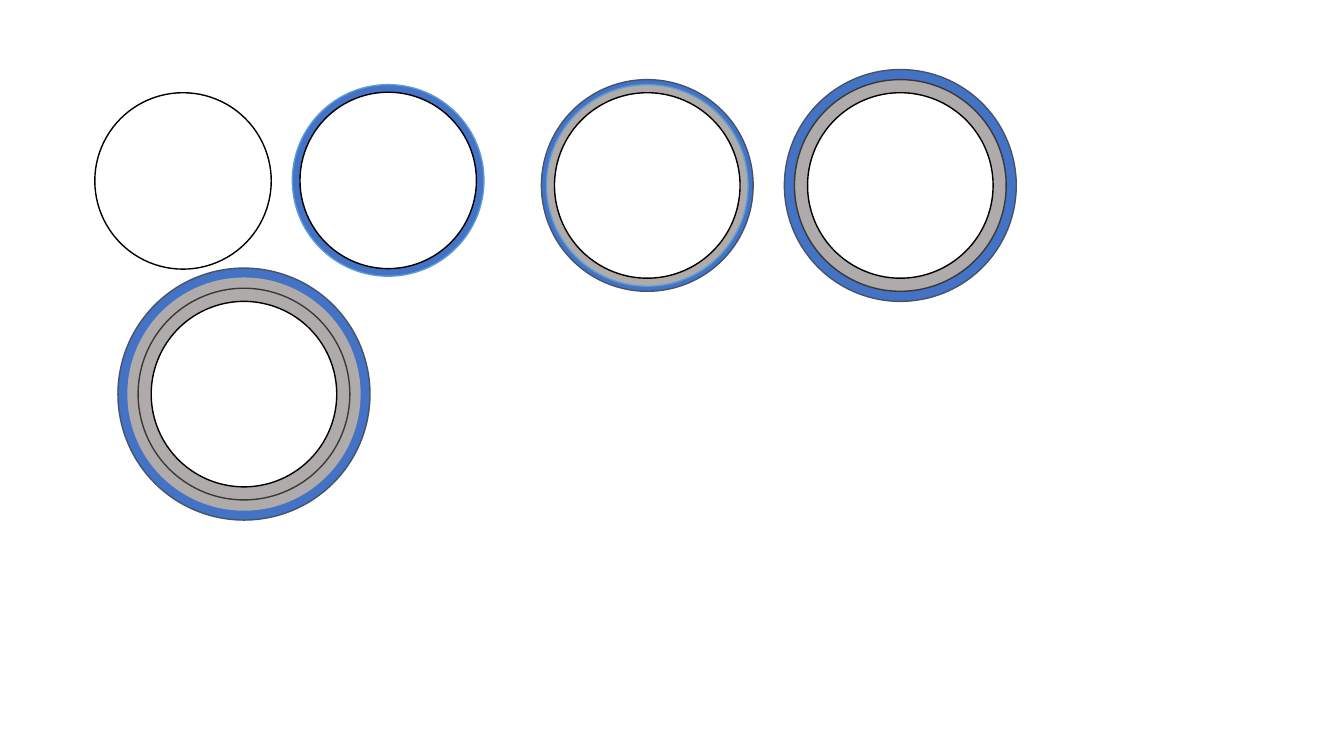
from pptx import Presentation
from pptx.dml.color import RGBColor
from pptx.enum.shapes import MSO_SHAPE
from pptx.util import Inches, Pt

BLUE, GRAY, WHITE = "4472C4", "AFABAB", "FFFFFF"
SKY, SLATE, DARK, BLACK = "5B9BD5", "44546A", "3B3838", "000000"

SMALL = (1.75, WHITE, BLACK)
CORE = (1.84, WHITE, BLACK)
INNER = (2, GRAY, GRAY)
MIDDLE = (2.1, GRAY, DARK)
OUTER = (2.3, GRAY, GRAY)

RINGS = [
    (1.815, 1.795, [SMALL]),
    (3.85, 1.79, [(1.9, BLUE, SKY), SMALL]),
    (6.42, 1.84, [(2.1, BLUE, SLATE), (2, GRAY, SKY), CORE]),
    (8.93, 1.84, [(2.3, BLUE, SLATE), MIDDLE, INNER, CORE]),
    (2.42, 3.91, [(2.5, BLUE, SLATE), OUTER, MIDDLE, INNER, CORE]),
]


def color(code):
    """Turn a hex string into a colour."""
    return RGBColor.from_string(code)


def add_disc(shapes, x, y, size, fill, line):
    """Add a disc centred on x, y."""
    disc = shapes.add_shape(
        MSO_SHAPE.OVAL, Inches(x - size / 2), Inches(y - size / 2),
        Inches(size), Inches(size))
    disc.shadow.inherit = False
    disc.fill.solid()
    disc.fill.fore_color.rgb = color(fill)
    disc.line.color.rgb = color(line)
    disc.line.width = Pt(1)


def add_rings(slide, x, y, discs):
    """Add a group of nested discs, largest first."""
    group = slide.shapes.add_group_shape()
    for size, fill, line in discs:
        add_disc(group.shapes, x, y, size, fill, line)


def main():
    """Build the slide and save it."""
    deck = Presentation()
    deck.slide_width, deck.slide_height = Inches(13.33), Inches(7.5)
    slide = deck.slides.add_slide(deck.slide_layouts[6])
    for x, y, discs in RINGS:
        add_rings(slide, x, y, discs)
    deck.save("out.pptx")


if __name__ == "__main__":
    main()
